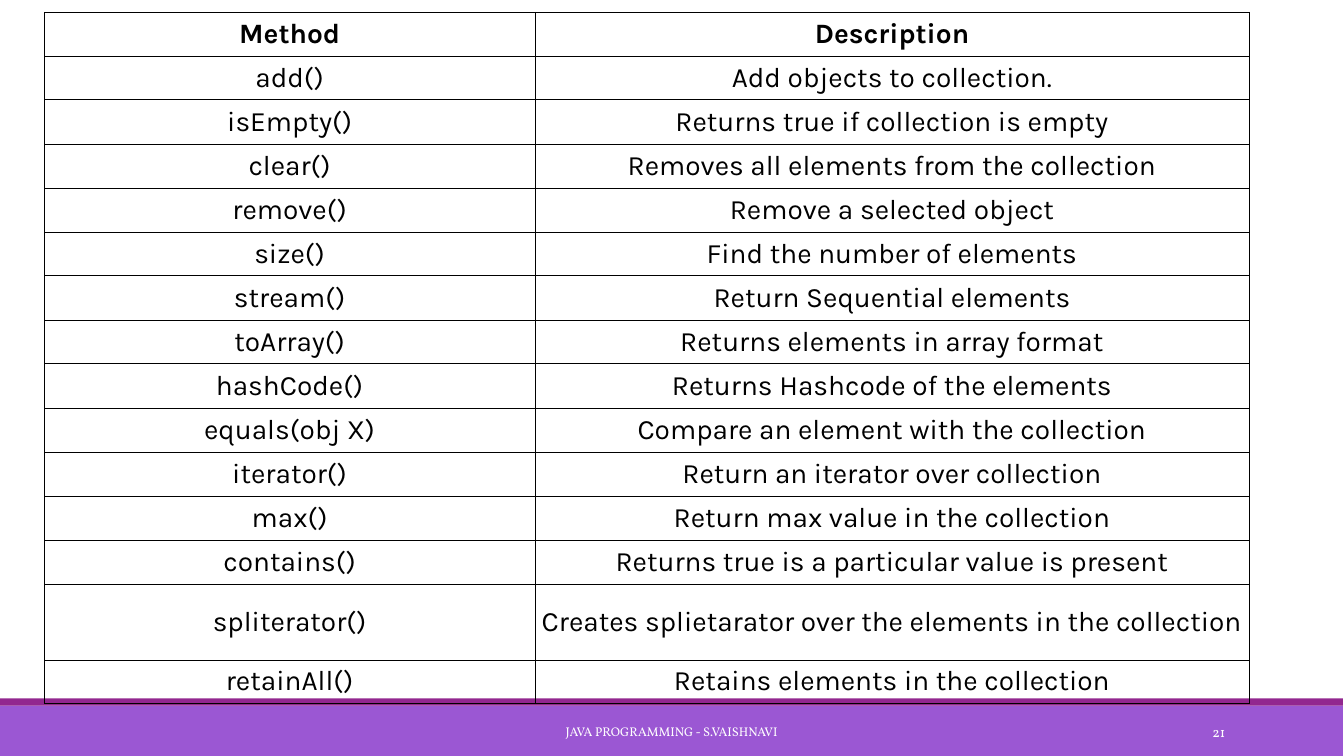
from dataclasses import dataclass

from lxml import etree
from pptx import Presentation
from pptx.dml.color import RGBColor
from pptx.enum.shapes import MSO_SHAPE
from pptx.enum.text import MSO_ANCHOR, PP_ALIGN
from pptx.oxml.ns import qn
from pptx.util import Inches, Pt

RECT = MSO_SHAPE.RECTANGLE
MIDDLE = MSO_ANCHOR.MIDDLE
CENTER, RIGHT = PP_ALIGN.CENTER, PP_ALIGN.RIGHT


@dataclass(frozen=True)
class Theme:
    band: str = "9B57D3"
    stripe: str = "92278F"
    ink: str = "000000"
    light: str = "FFFFFF"
    table_font: str = "Karla"
    footer_font: str = "Vollkorn"
    table_size: float = 20
    footer_size: float = 9
    number_size: float = 10
    border_width: float = 0.45


THEME = Theme()

METHODS = [
    ("Method", "Description"),
    ("add()", "Add objects to collection."),
    ("isEmpty()", "Returns true if collection is empty"),
    ("clear()", "Removes all elements from the collection"),
    ("remove()", "Remove a selected object"),
    ("size()", "Find the number of elements"),
    ("stream()", "Return Sequential elements"),
    ("toArray()", "Returns elements in array format"),
    ("hashCode()", "Returns Hashcode of the elements"),
    ("equals(obj X)", "Compare an element with the collection"),
    ("iterator()", "Return an iterator over collection"),
    ("max()", "Return max value in the collection"),
    ("contains()", "Returns true is a particular value is present"),
    ("spliterator()", "Creates splietarator over the elements in the collection"),
    ("retainAll()", "Retains elements in the collection"),
]
COLUMN_WIDTHS = [4.87, 7.09]
ROW_HEIGHT = 0.42
ROW_HEIGHTS = {2: 0.44, 3: 0.44, 6: 0.44, 8: 0.44, 9: 0.44, 12: 0.44, 13: 0.75}


def write(tf, text, align, color, **font):
    p = tf.paragraphs[0]
    p.alignment = align
    r = p.add_run()
    r.text = text
    r.font.color.rgb = RGBColor.from_string(color)
    for name, value in font.items():
        setattr(r.font, name, value)


def add_bar(slide, top, height, color):
    sp = slide.shapes.add_shape(RECT, 0, Inches(top), Inches(13.33), Inches(height))
    sp.shadow.inherit = False
    sp.fill.solid()
    sp.fill.fore_color.rgb = RGBColor.from_string(color)
    sp.line.fill.background()


def add_footer_text(slide, left, width, text, align, size):
    sp = slide.shapes.add_textbox(Inches(left), Inches(7.06), Inches(width), Inches(0.4))
    tf = sp.text_frame
    tf.word_wrap = True
    tf.vertical_anchor = MIDDLE
    write(tf, text, align, THEME.light, name=THEME.footer_font, size=Pt(size))


def set_borders(cell):
    tc_pr = cell._tc.get_or_add_tcPr()
    for i, side in enumerate(("a:lnL", "a:lnR", "a:lnT", "a:lnB")):
        ln = etree.Element(qn(side), w=str(Pt(THEME.border_width)))
        fill = etree.SubElement(ln, qn("a:solidFill"))
        etree.SubElement(fill, qn("a:srgbClr"), val=THEME.ink)
        tc_pr.insert(i, ln)


def format_cell(cell, text, bold):
    margins = {"margin_left": 0.03, "margin_right": 0.03,
               "margin_top": 0.05, "margin_bottom": 0.05}
    for name, value in margins.items():
        setattr(cell, name, Inches(value))
    cell.vertical_anchor = MIDDLE
    cell.fill.background()
    set_borders(cell)
    write(cell.text_frame, text, CENTER, THEME.ink, name=THEME.table_font,
          size=Pt(THEME.table_size), bold=bold)


def add_method_table(slide):
    heights = [ROW_HEIGHTS.get(i, ROW_HEIGHT) for i in range(len(METHODS))]
    frame = slide.shapes.add_table(
        len(METHODS), len(COLUMN_WIDTHS), Inches(0.44), Inches(0.12),
        Inches(sum(COLUMN_WIDTHS)), Inches(sum(heights)))
    table = frame.table
    table.first_row = table.horz_banding = False
    for column, width in zip(table.columns, COLUMN_WIDTHS):
        column.width = Inches(width)
    for i, (row, height, texts) in enumerate(zip(table.rows, heights, METHODS)):
        row.height = Inches(height)
        for cell, text in zip(row.cells, texts):
            format_cell(cell, text, bold=i == 0)


def main():
    prs = Presentation()
    prs.slide_width, prs.slide_height = Inches(13.34), Inches(7.5)
    slide = prs.slides.add_slide(prs.slide_layouts[6])
    add_bar(slide, 7, 0.5, THEME.band)
    add_bar(slide, 6.93, 0.07, THEME.stripe)
    add_footer_text(slide, 4.03, 5.27, "JAVA PROGRAMMING - S.VAISHNAVI", CENTER,
                    THEME.footer_size)
    add_footer_text(slide, 10.83, 1.43, "21", RIGHT, THEME.number_size)
    add_method_table(slide)
    prs.save("out.pptx")


if __name__ == "__main__":
    main()
